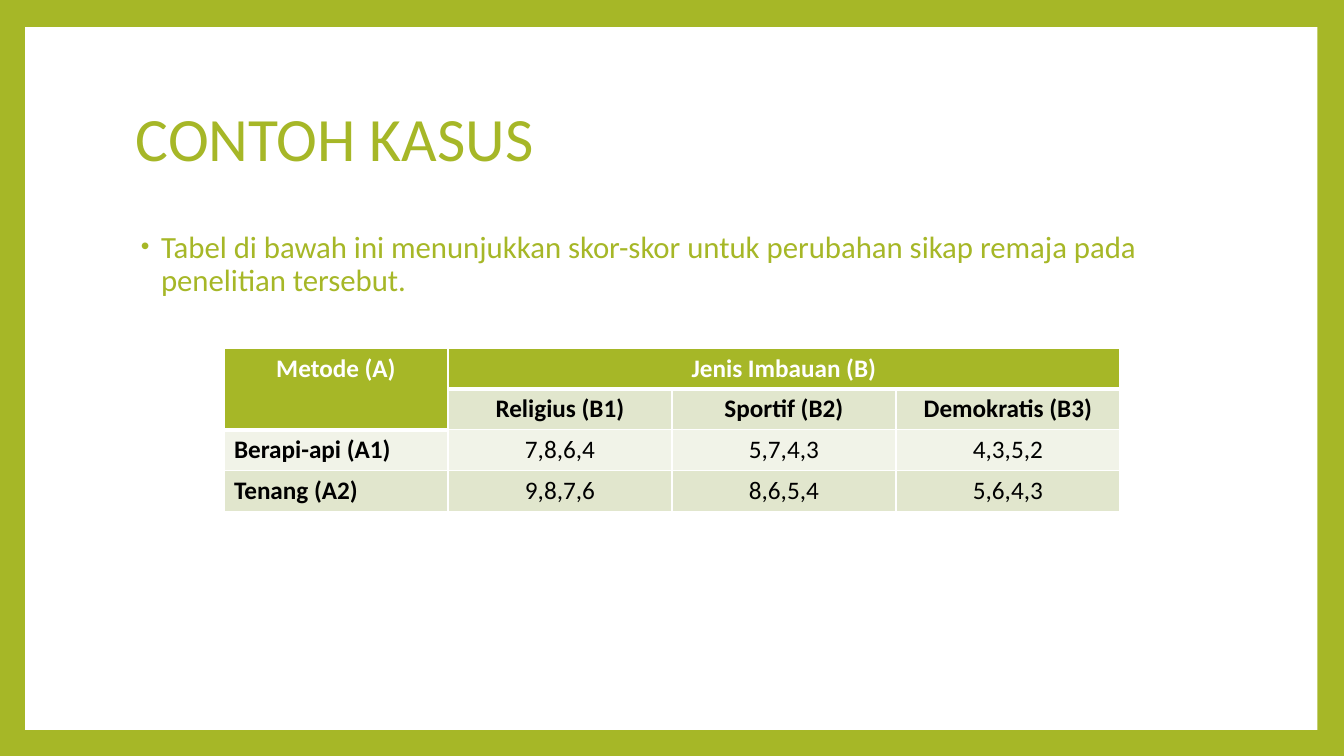
"""Build the CONTOH KASUS slide with a table of attitude scores."""
from lxml.etree import SubElement
from pptx import Presentation
from pptx.dml.color import RGBColor
from pptx.enum.shapes import MSO_SHAPE
from pptx.enum.text import MSO_ANCHOR as Anchor, PP_ALIGN as Align
from pptx.oxml.ns import qn
from pptx.util import Pt

GREEN = RGBColor(0xA6, 0xB7, 0x27)
WHITE = RGBColor(0xFF, 0xFF, 0xFF)
BLACK = RGBColor(0, 0, 0)
BAND_DARK = RGBColor(0xE1, 0xE6, 0xCD)
BAND_LIGHT = RGBColor(0xF1, 0xF3, 0xE8)


def add_run(paragraph, text, size, color, bold=False):
    run = paragraph.add_run()
    run.text = text
    run.font.name = "Calibri"
    run.font.size = Pt(size)
    run.font.bold = bold
    run.font.color.rgb = color


def add_border(cell, side, width):
    line = SubElement(cell._tc.get_or_add_tcPr(), qn(f"a:ln{side}"), w=str(Pt(width)))
    fill = SubElement(line, qn("a:solidFill"))
    SubElement(fill, qn("a:srgbClr"), val=str(WHITE))


presentation = Presentation()
presentation.slide_width = Pt(960)
presentation.slide_height = Pt(540)
slide = presentation.slides.add_slide(presentation.slide_layouts[6])
slide.background.fill.solid()
slide.background.fill.fore_color.rgb = GREEN

panel = slide.shapes.add_shape(MSO_SHAPE.RECTANGLE, Pt(18), Pt(19.3), Pt(923), Pt(502))
panel.shadow.inherit = False
panel.fill.solid()
panel.fill.fore_color.rgb = WHITE
panel.line.fill.background()

title = slide.shapes.add_textbox(Pt(90), Pt(48), Pt(777.6), Pt(106.8)).text_frame
title.word_wrap = True
title.vertical_anchor = Anchor.MIDDLE
title.paragraphs[0].line_spacing = 0.9
add_run(title.paragraphs[0], "CONTOH KASUS", 44, GREEN)

body = slide.shapes.add_textbox(Pt(90), Pt(162), Pt(777.6), Pt(318)).text_frame
body.word_wrap = True
paragraph = body.paragraphs[0]
paragraph.line_spacing = 0.9
properties = paragraph._p.get_or_add_pPr()
properties.set("marL", str(Pt(18)))
properties.set("indent", str(Pt(-14.4)))
bullet_color = SubElement(properties, qn("a:buClr"))
SubElement(bullet_color, qn("a:srgbClr"), val=str(GREEN))
SubElement(properties, qn("a:buSzPct"), val="80000")
SubElement(properties, qn("a:buFont"), typeface="Arial")
SubElement(properties, qn("a:buChar"), char="•")
add_run(
    paragraph,
    "Tabel di bawah ini menunjukkan skor-skor untuk perubahan sikap remaja pada penelitian tersebut.",
    22,
    GREEN,
)

rows = [
    ["Metode (A)", "Jenis Imbauan (B)", "", ""],
    ["", "Religius (B1)", "Sportif (B2)", "Demokratis (B3)"],
    ["Berapi-api (A1)", "7,8,6,4", "5,7,4,3", "4,3,5,2"],
    ["Tenang (A2)", "9,8,7,6", "8,6,5,4", "5,6,4,3"],
]
row_fills = [GREEN, BAND_DARK, BAND_LIGHT, BAND_DARK]
table = slide.shapes.add_table(4, 4, Pt(160), Pt(248.6), Pt(640), Pt(116.8)).table
table.cell(0, 0).merge(table.cell(1, 0))
table.cell(0, 1).merge(table.cell(0, 3))

for row_index, texts in enumerate(rows):
    table.rows[row_index].height = Pt(29.2)
    for column_index, text in enumerate(texts):
        cell = table.cell(row_index, column_index)
        is_header = row_index == 0 or (row_index == 1 and column_index == 0)
        for side in "LRTB":
            add_border(cell, side, 3 if is_header and side == "B" else 1)
        cell.fill.solid()
        cell.fill.fore_color.rgb = GREEN if is_header else row_fills[row_index]
        if text:
            paragraph = cell.text_frame.paragraphs[0]
            is_row_label = row_index > 1 and column_index == 0
            paragraph.alignment = Align.LEFT if is_row_label else Align.CENTER
            bold = row_index < 2 or column_index == 0
            add_run(paragraph, text, 18, WHITE if is_header else BLACK, bold)

presentation.save("out.pptx")
